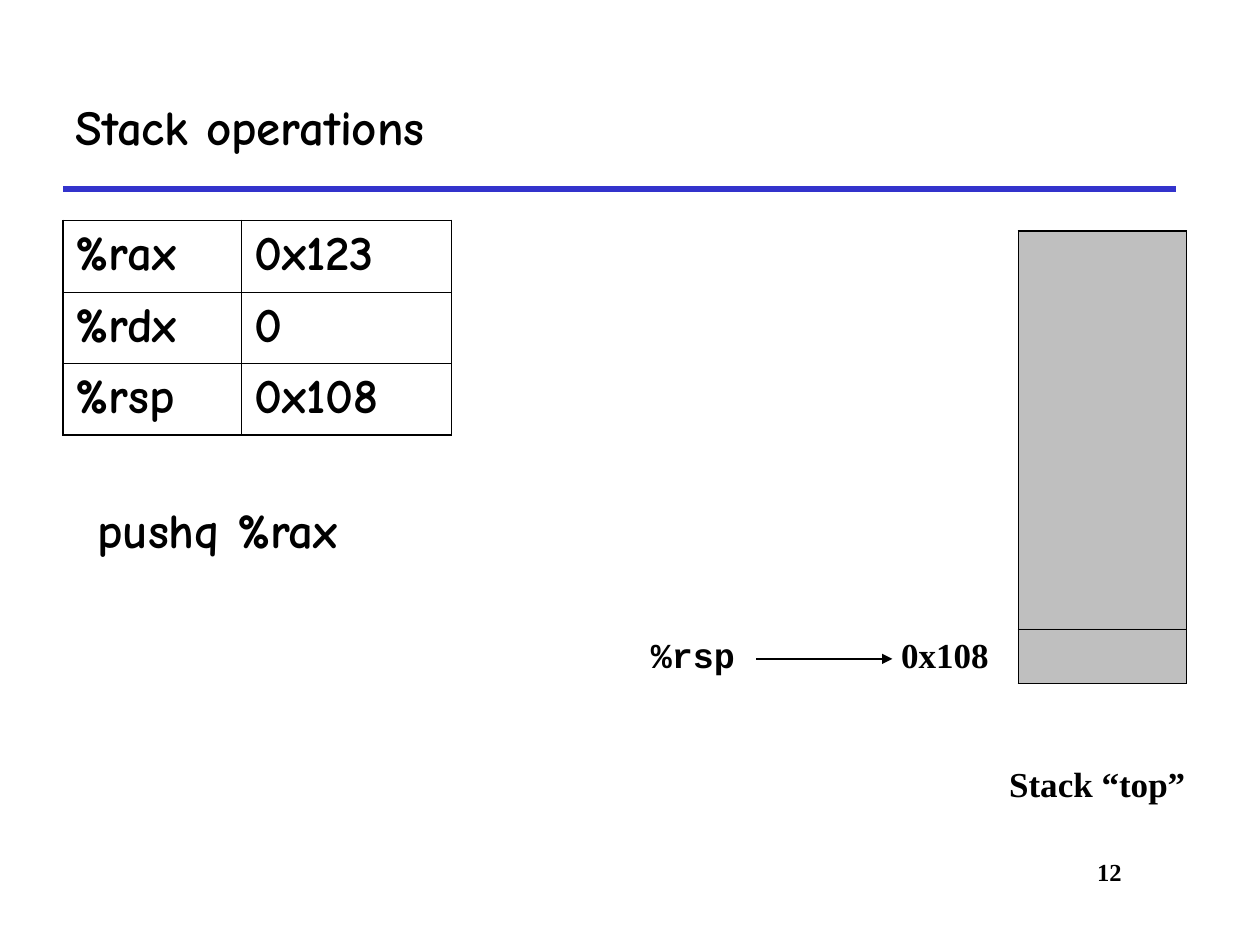
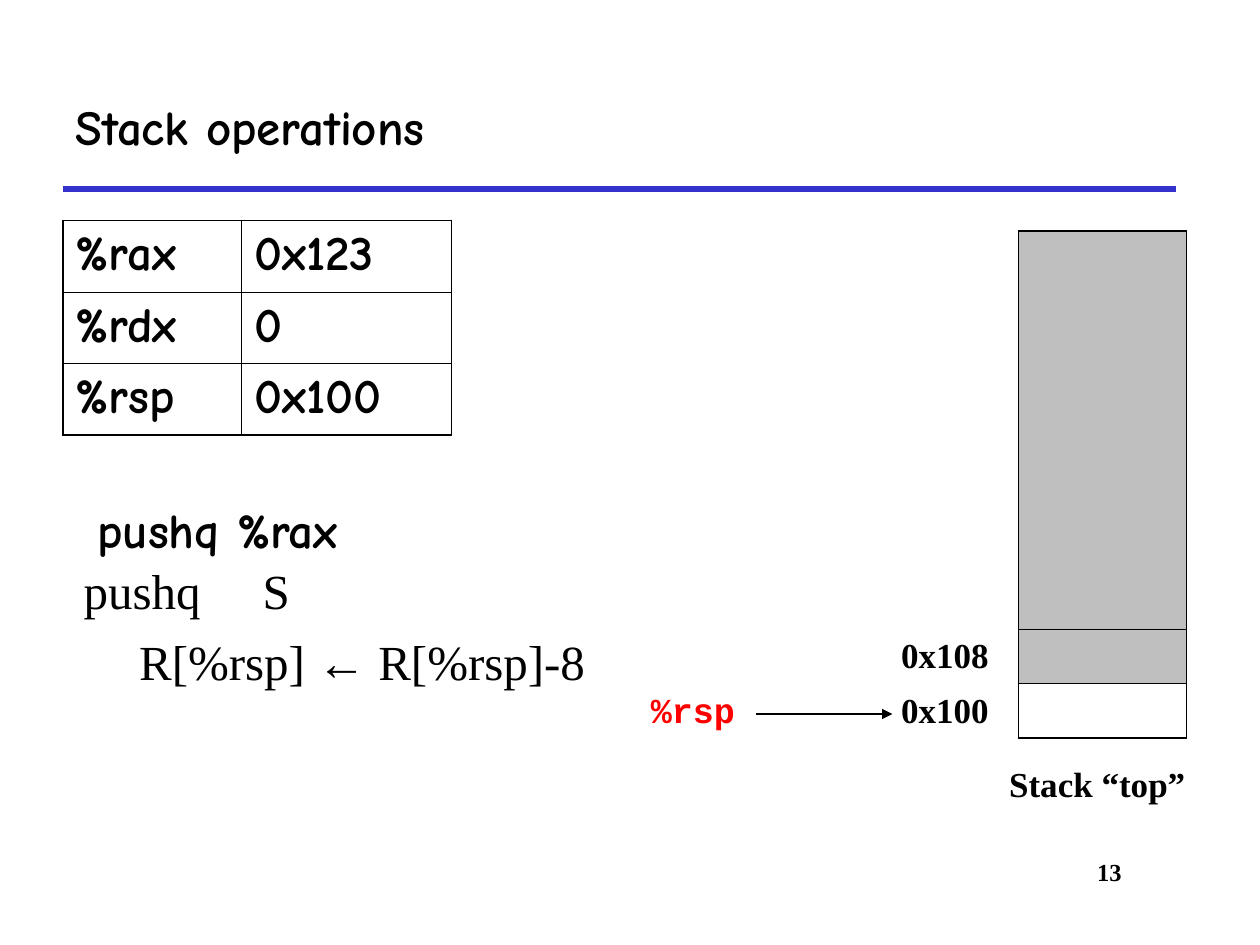
from lxml import etree
from pptx import Presentation
from pptx.dml.color import RGBColor
from pptx.enum.shapes import MSO_CONNECTOR, MSO_SHAPE
from pptx.enum.text import MSO_ANCHOR, PP_ALIGN
from pptx.oxml.ns import qn
from pptx.util import Inches, Pt

STRAIGHT, RECTANGLE = MSO_CONNECTOR.STRAIGHT, MSO_SHAPE.RECTANGLE
TOP, MIDDLE = MSO_ANCHOR.TOP, MSO_ANCHOR.MIDDLE
LEFT, CENTER, RIGHT = PP_ALIGN.LEFT, PP_ALIGN.CENTER, PP_ALIGN.RIGHT

COLUMNS, ROWS = 120, 90
COLORS = {"ink": "000000", "rule": "3333CC", "used": "808080",
          "paper": "FFFFFF", "changed": "FF0000"}
FONTS = {
    "heading": {"name": "Comic Neue", "size": Pt(28), "bold": True},
    "body": {"name": "Times New Roman", "size": Pt(28), "bold": False},
    "label": {"name": "Times New Roman", "size": Pt(20), "bold": True},
    "register": {"name": "Courier New", "size": Pt(20), "bold": True},
    "page": {"name": "Times New Roman", "size": Pt(14), "bold": True},
    "symbol": {"name": "Arial", "size": Pt(28), "bold": False},
}
THICK, THIN = Pt(1.08), Pt(0.45)
MARGIN, RIGHT_EDGE = 6, 112
REGISTER_COLUMNS, REGISTER_ROW = (17, 20), 6.8
STACK_LEFT, STACK_TOP, STACK_WIDTH = 97, 22, 16
STACK_BODY, STACK_SLOT = 37.9, 5.2
LABEL_TOP, LABEL_STEP, LABEL_HEIGHT = 59.75, 5.25, 5.2


def rgb(color):
    return RGBColor.from_string(COLORS[color])


def apply(target, values):
    for attribute, value in values.items():
        setattr(target, attribute, value)


class Deck:
    """The grid, the shared style and the slide being filled."""

    def __init__(self):
        self.presentation = Presentation()
        apply(self.presentation, {"slide_width": Inches(10), "slide_height": Inches(7.5)})
        self.slide = None

    def x(self, columns):
        return round(self.presentation.slide_width * columns / COLUMNS)

    def y(self, rows):
        return round(self.presentation.slide_height * rows / ROWS)

    def box(self, left, top, width, height):
        return self.x(left), self.y(top), self.x(width), self.y(height)

    def new_slide(self, title, number):
        self.slide = self.presentation.slides.add_slide(self.presentation.slide_layouts[6])
        self.line(MARGIN, 18, RIGHT_EDGE, 18, "rule", 3)
        self.text((MARGIN, 6, RIGHT_EDGE - MARGIN, 12), title, "heading", anchor=MIDDLE)
        self.text((91, 81, 17, 6), str(number), "page", align=RIGHT)

    def run(self, paragraph, words, font, color="ink"):
        run = paragraph.add_run()
        run.text = words
        apply(run.font, FONTS[font])
        run.font.color.rgb = rgb(color)

    def fill_frame(self, frame, words, font, color="ink", align=LEFT, anchor=TOP, wrap=True):
        apply(frame, {"word_wrap": wrap, "vertical_anchor": anchor})
        paragraph = frame.paragraphs[0]
        paragraph.alignment = align
        self.run(paragraph, words, font, color)

    def text(self, area, words, font, **layout):
        frame = self.slide.shapes.add_textbox(*self.box(*area)).text_frame
        self.fill_frame(frame, words, font, **layout)
        return frame

    def label(self, left, top, width, words):
        """Centred caption in a rectangle with a paper-coloured edge."""
        shape = self.slide.shapes.add_shape(
            RECTANGLE, *self.box(left, top, width, LABEL_HEIGHT))
        shape.shadow.inherit = False
        shape.fill.background()
        shape.line.color.rgb = rgb("paper")
        shape.line.width = Pt(0.75)
        self.fill_frame(shape.text_frame, words, "label", align=CENTER)

    def line(self, x1, y1, x2, y2, color, width, arrow=False):
        line = self.slide.shapes.add_connector(
            STRAIGHT, self.x(x1), self.y(y1), self.x(x2), self.y(y2))
        line.line.color.rgb = rgb(color)
        line.line.width = Pt(width)
        properties = line.line._get_or_add_ln()
        if arrow:
            etree.SubElement(properties, qn("a:tailEnd"), type="triangle")
        etree.SubElement(properties.getparent(), qn("a:effectLst"))

    def border(self, cell, widths):
        """Draw the cell's edges; widths run left, right, top, bottom."""
        properties = cell._tc.get_or_add_tcPr()
        for side, width in zip("LRTB", widths):
            edge = etree.SubElement(properties, qn(f"a:ln{side}"), w=str(int(width)))
            paint = etree.SubElement(edge, qn("a:solidFill"))
            etree.SubElement(paint, qn("a:srgbClr"), val=COLORS["ink"])

    def grid(self, left, top, widths, heights, bottom=THICK):
        """Table with a thick outline and thin inner lines."""
        area = self.box(left, top, sum(widths), sum(heights))
        table = self.slide.shapes.add_table(len(heights), len(widths), *area).table
        apply(table, {"first_row": False, "horz_banding": False})
        for column, width in zip(table.columns, widths):
            column.width = self.x(width)
        for row, height in zip(table.rows, heights):
            row.height = self.y(height)
        last_row, last_column = len(heights) - 1, len(widths) - 1
        for r, row in enumerate(table.rows):
            for c, cell in enumerate(row.cells):
                self.border(cell, (THIN if c else THICK,
                                   THICK if c == last_column else THIN,
                                   THIN if r else THICK,
                                   bottom if r == last_row else THIN))
        return table

    def registers(self, values):
        table = self.grid(MARGIN, 21, REGISTER_COLUMNS, [REGISTER_ROW] * len(values))
        for row, pair in zip(table.rows, values.items()):
            for cell, words in zip(row.cells, pair):
                cell.fill.background()
                self.fill_frame(cell.text_frame, words, "heading")

    def stack(self, slot_colors, bottom):
        heights = [STACK_BODY] + [STACK_SLOT] * len(slot_colors)
        table = self.grid(STACK_LEFT, STACK_TOP, [STACK_WIDTH], heights, bottom)
        for row, color in zip(table.rows, ["used", *slot_colors]):
            cell = row.cells[0]
            cell.fill.solid()
            cell.fill.fore_color.rgb = rgb(color)
            for paint in cell._tc.tcPr.findall(f"{qn('a:solidFill')}/{qn('a:srgbClr')}"):
                etree.SubElement(paint, qn("a:alpha"), val="50000")
        self.label(94, 72, 21, "Stack “top”")

    def addresses(self, names):
        for slot, name in enumerate(names):
            self.label(84, LABEL_TOP + slot * LABEL_STEP, 12, name)

    def pointer(self, slot, color):
        """Point %rsp at the address of the given stack slot."""
        top = LABEL_TOP + slot * LABEL_STEP
        self.text((60, top, 12, LABEL_HEIGHT), "%rsp", "register", color=color, align=CENTER)
        self.line(72, top + 3, 85, top + 3, "ink", 0.75, arrow=True)

    def push_semantics(self):
        frame = self.text((6.8, 52.8, 55, 28), "pushq\tS", "body")
        tabs = etree.SubElement(frame.paragraphs[0]._p.get_or_add_pPr(), qn("a:tabLst"))
        etree.SubElement(tabs, qn("a:tab"), pos=str(Inches(1.42)), algn="l")
        effect = frame.add_paragraph()
        apply(effect, {"level": 1, "space_before": Pt(7)})
        indent = effect._p.get_or_add_pPr()
        indent.set("marL", str(Inches(0.44)))
        indent.set("indent", "0")
        for words, font in (("R[%rsp] ", "body"), ("←", "symbol"), (" R[%rsp]-8", "body")):
            self.run(effect, words, font)

    def stack_slide(self, number, rsp, slot_colors, addresses, bottom, pointer_color):
        self.new_slide("Stack operations", number)
        self.registers({"%rax": "0x123", "%rdx": "0", "%rsp": rsp})
        self.text((3.5, 47, 34.4, 6.8), "pushq %rax", "heading", align=CENTER, wrap=False)
        self.stack(slot_colors, bottom)
        self.addresses(addresses)
        self.pointer(addresses.index(rsp), pointer_color)


def main():
    deck = Deck()
    deck.stack_slide(12, "0x108", ["used"], ["0x108"], THIN, "ink")
    deck.stack_slide(13, "0x100", ["used", "paper"], ["0x108", "0x100"], THICK, "changed")
    deck.push_semantics()
    deck.presentation.save("out.pptx")


if __name__ == "__main__":
    main()
